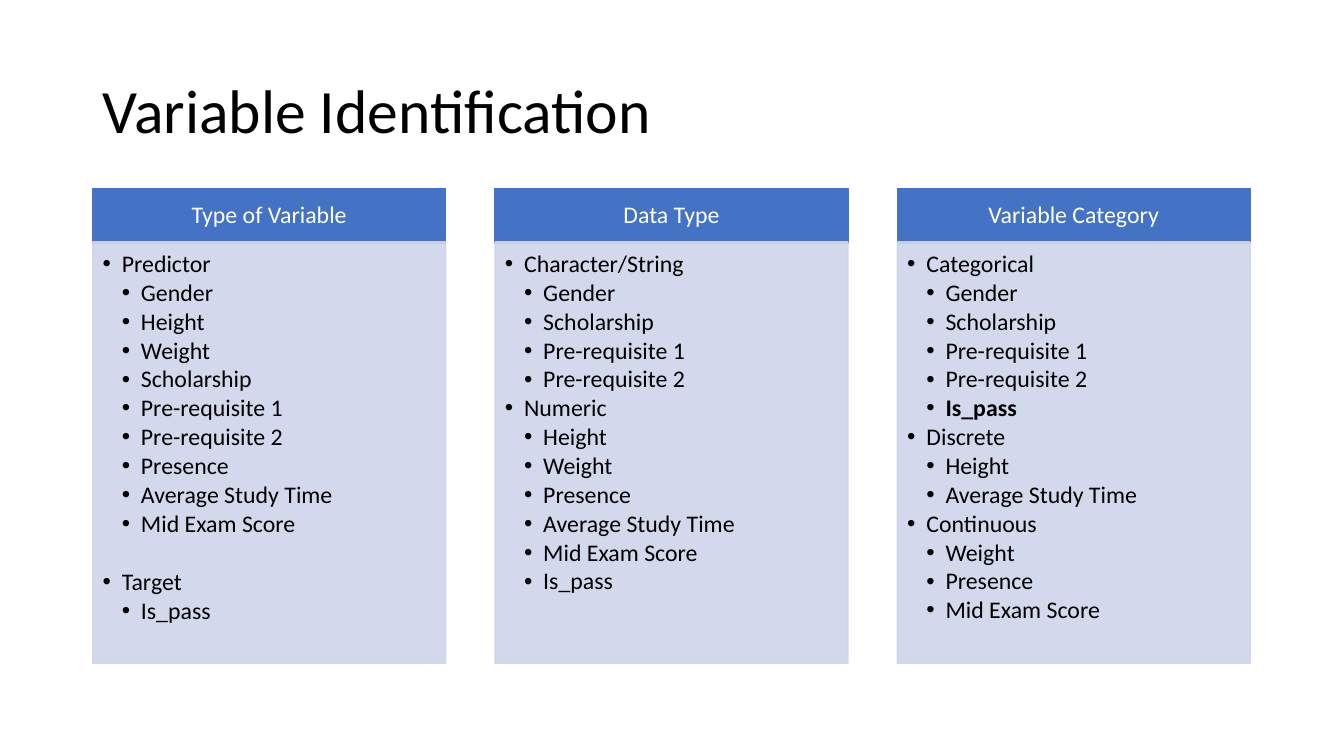
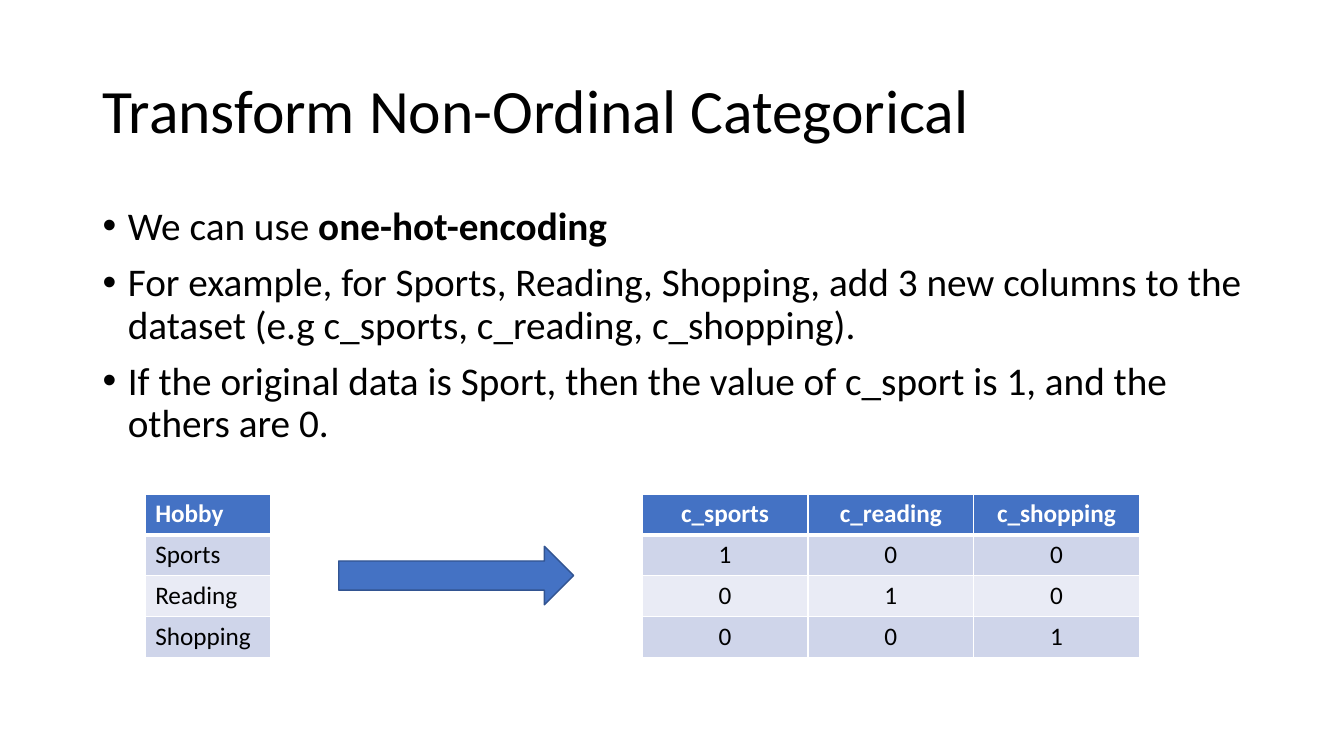
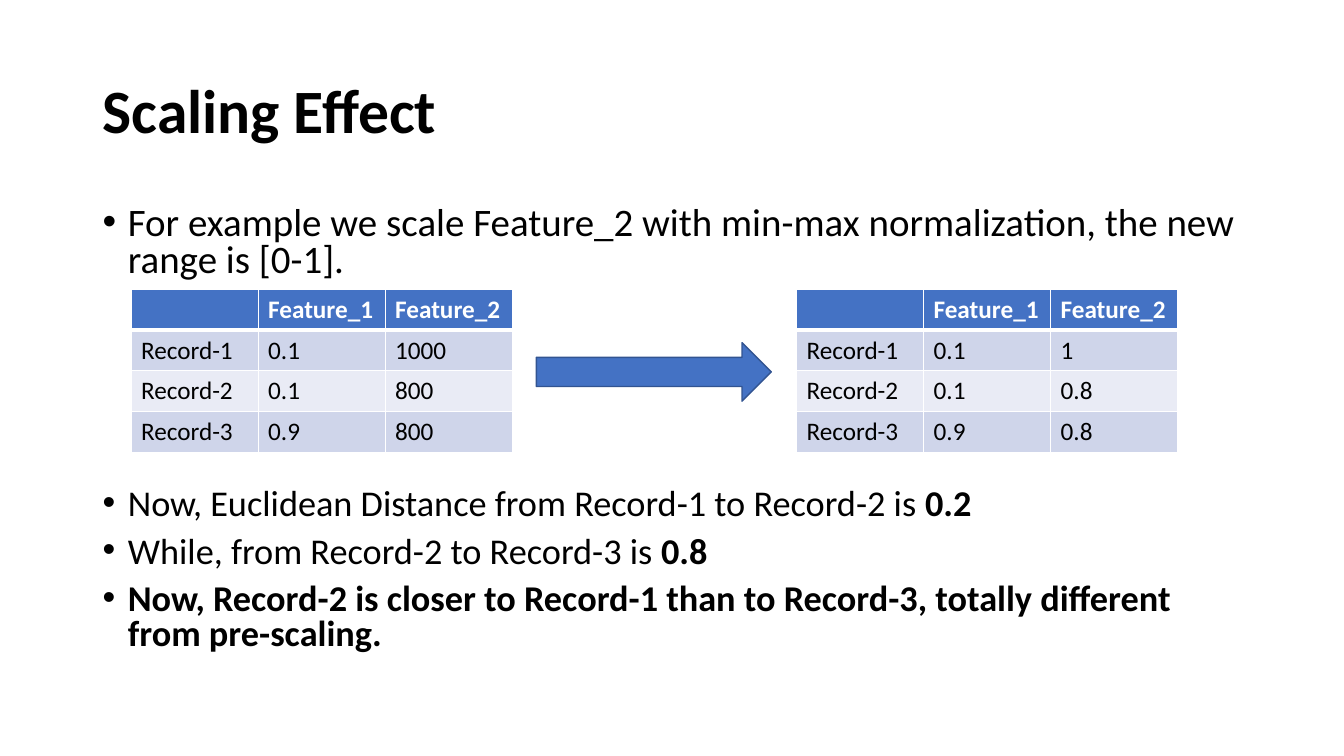
from pptx import Presentation
from pptx import util as u
from pptx.dml.color import RGBColor
from pptx.enum import shapes, text
from pptx.oxml.ns import qn
from lxml import etree

BLUE, EDGE, PALE, LIGHT = "4472C4", "325491", "CFD5EA", "E9EBF5"
BLACK, WHITE = "000000", "FFFFFF"
LEFT, WIDTH = 0.92, 11.5


def rgb(value):
    return RGBColor.from_string(value)


def put(obj, values):
    for name, value in values.items():
        setattr(obj, name, value)


def sub(parent, tag, **attrs):
    return etree.SubElement(parent, qn(tag), attrs)


class Deck:
    font = "Calibri"
    center = text.PP_ALIGN.CENTER
    middle = text.MSO_ANCHOR.MIDDLE

    def __init__(self):
        self.prs = Presentation()
        put(self.prs, {"slide_width": u.Inches(13.33), "slide_height": u.Inches(7.5)})

    def slide(self, title):
        self.s = self.prs.slides.add_slide(self.prs.slide_layouts[6])
        tf = self.box(LEFT, 0.4, WIDTH, 1.45)
        tf.vertical_anchor = self.middle
        self.runs(tf.paragraphs[0], title, 44, line_spacing=0.9)

    def box(self, *at):
        tf = self.s.shapes.add_textbox(*map(u.Inches, at)).text_frame
        tf.word_wrap = True
        return tf

    def runs(self, p, words, size, color=BLACK, **layout):
        put(p, layout)
        for i, part in enumerate(words.split("**")):
            if part:
                r = p.add_run()
                r.text = part
                put(r.font, {"name": self.font, "size": u.Pt(size), "bold": i % 2 == 1})
                r.font.color.rgb = rgb(color)

    def bullet(self, p, hang, level=1):
        pPr = p._p.get_or_add_pPr()
        pPr.set("marL", str(u.Inches(hang * level)))
        pPr.set("indent", str(-u.Inches(hang)))
        sub(pPr, "a:buFont", typeface="Arial")
        sub(pPr, "a:buChar", char="•")

    def bullets(self, top, height, items, size, spacing, gap):
        tf = self.box(LEFT, top, WIDTH, height)
        for i, item in enumerate(items):
            p = tf.add_paragraph() if i else tf.paragraphs[0]
            self.bullet(p, 0.25)
            self.runs(p, item, size, line_spacing=spacing, space_before=u.Pt(gap if i else 0))

    def shape(self, kind, at, fill, line, alpha=None):
        sp = self.s.shapes.add_shape(kind, *map(u.Inches, at))
        sp.shadow.inherit = False
        sp.fill.solid()
        sp.fill.fore_color.rgb = rgb(fill)
        sp.line.color.rgb = rgb(line)
        sp.line.width = u.Pt(1)
        if alpha:
            for clr in sp._element.spPr.iter(qn("a:srgbClr")):
                sub(clr, "a:alpha", val=str(alpha * 1000))
        return sp.text_frame

    def arrow(self, x, y):
        self.shape(shapes.MSO_SHAPE.RIGHT_ARROW, (x, y, 2.33, 0.58), BLUE, EDGE)

    def card(self, x, width, heading, groups, group_gap=0):
        rect = shapes.MSO_SHAPE.RECTANGLE
        tf = self.shape(rect, (x, 1.87, width, 0.54), BLUE, BLUE)
        self.runs(tf.paragraphs[0], heading, 17, WHITE, alignment=self.center, line_spacing=0.9)
        tf = self.shape(rect, (x, 2.4, width, 4.18), PALE, PALE, 90)
        put(tf, {"vertical_anchor": text.MSO_ANCHOR.TOP, "margin_left": u.Inches(0.1),
                 "margin_top": u.Inches(0.1), "margin_right": u.Inches(0.13),
                 "margin_bottom": u.Inches(0.15)})
        p = None
        for group, members in groups.items():
            for level, item in [(1, group)] + [(2, m) for m in members]:
                gap = group_gap if p is not None and level == 1 else 0
                p = tf.paragraphs[0] if p is None else tf.add_paragraph()
                self.bullet(p, 0.19, level)
                self.runs(p, item, 17, alignment=text.PP_ALIGN.LEFT, line_spacing=0.9,
                          space_before=u.Pt(gap), space_after=u.Pt(2.25))

    def border(self, cell, row):
        tcPr = cell._tc.get_or_add_tcPr()
        widths = {"L": 1, "R": 1, "T": 3 if row == 1 else 1, "B": 3 if row == 0 else 1}
        for side, width in widths.items():
            ln = sub(tcPr, f"a:ln{side}", w=str(u.Pt(width)))
            sub(sub(ln, "a:solidFill"), "a:srgbClr", val=WHITE)

    def table(self, x, y, width, rows, align=text.PP_ALIGN.LEFT):
        at = map(u.Inches, (x, y, width, 1.62))
        tbl = self.s.shapes.add_table(len(rows), len(rows[0]), *at).table
        for i, row in enumerate(rows):
            fill = BLUE if i == 0 else PALE if i % 2 else LIGHT
            for j, words in enumerate(row):
                cell = tbl.cell(i, j)
                self.border(cell, i)
                cell.fill.solid()
                cell.fill.fore_color.rgb = rgb(fill)
                if i == 0:
                    words = f"**{words}**"
                self.runs(cell.text_frame.paragraphs[0], words, 18,
                          BLACK if i else WHITE, alignment=align)


def variables(d):
    d.slide("Variable Identification")
    prerequisites = ["Pre-requisite 1", "Pre-requisite 2"]
    labels = ["Gender", "Scholarship"] + prerequisites
    scores = ["Presence", "Average Study Time", "Mid Exam Score"]
    cards = [
        ("Type of Variable", {
            "Predictor": ["Gender", "Height", "Weight", "Scholarship"] + prerequisites + scores,
            "Target": ["Is_pass"]}, 20.9),
        ("Data Type", {
            "Character/String": labels,
            "Numeric": ["Height", "Weight"] + scores + ["Is_pass"]}),
        ("Variable Category", {
            "Categorical": labels + ["**Is_pass**"],
            "Discrete": ["Height", "Average Study Time"],
            "Continuous": ["Weight", "Presence", "Mid Exam Score"]}),
    ]
    width, gap = 3.5, 0.49
    for i, card in enumerate(cards):
        d.card(LEFT + i * (width + gap), width, *card)


def encoding(d):
    d.slide("Transform Non-Ordinal Categorical")
    d.bullets(2, 2.7, [
        "We can use **one-hot-encoding**",
        "For example, for Sports, Reading, Shopping, add 3 new columns to the dataset "
        "(e.g c_sports, c_reading, c_shopping).",
        "If the original data is Sport, then the value of c_sport is 1, and the others are 0.",
    ], 28, 0.9, 10)
    hobbies = ["Sports", "Reading", "Shopping"]
    d.table(1.44, 4.9, 1.24, [["Hobby"]] + [[h] for h in hobbies])
    one_hot = [[str(int(a == b)) for b in hobbies] for a in hobbies]
    d.table(6.37, 4.9, 4.93, [[f"c_{h.lower()}" for h in hobbies]] + one_hot, d.center)
    d.arrow(3.36, 5.42)


def scaling(d):
    d.slide("**Scaling Effect**")
    d.bullets(2, 0.85, [
        "For example we scale Feature_2 with min-max normalization, the new range is [0-1].",
    ], 27.8, 0.8, 9)
    d.bullets(4.8, 1.96, [
        "Now, Euclidean Distance from Record-1 to Record-2 is **0.2**",
        "While, from Record-2 to Record-3 is **0.8**",
        "**Now, Record-2 is closer to Record-1 than to Record-3, totally different "
        "from pre-scaling.**",
    ], 25.9, 0.8, 9)
    for x, values in [(1.3, ("1000", "800", "800")), (7.9, ("1", "0.8", "0.8"))]:
        rows = [[f"Record-{i}", first, second]
                for i, (first, second) in enumerate(zip(("0.1", "0.1", "0.9"), values), 1)]
        d.table(x, 2.87, 3.78, [["", "Feature_1", "Feature_2"]] + rows)
    d.arrow(5.32, 3.4)


def main():
    d = Deck()
    for build in (variables, encoding, scaling):
        build(d)
    d.prs.save("out.pptx")


if __name__ == "__main__":
    main()
